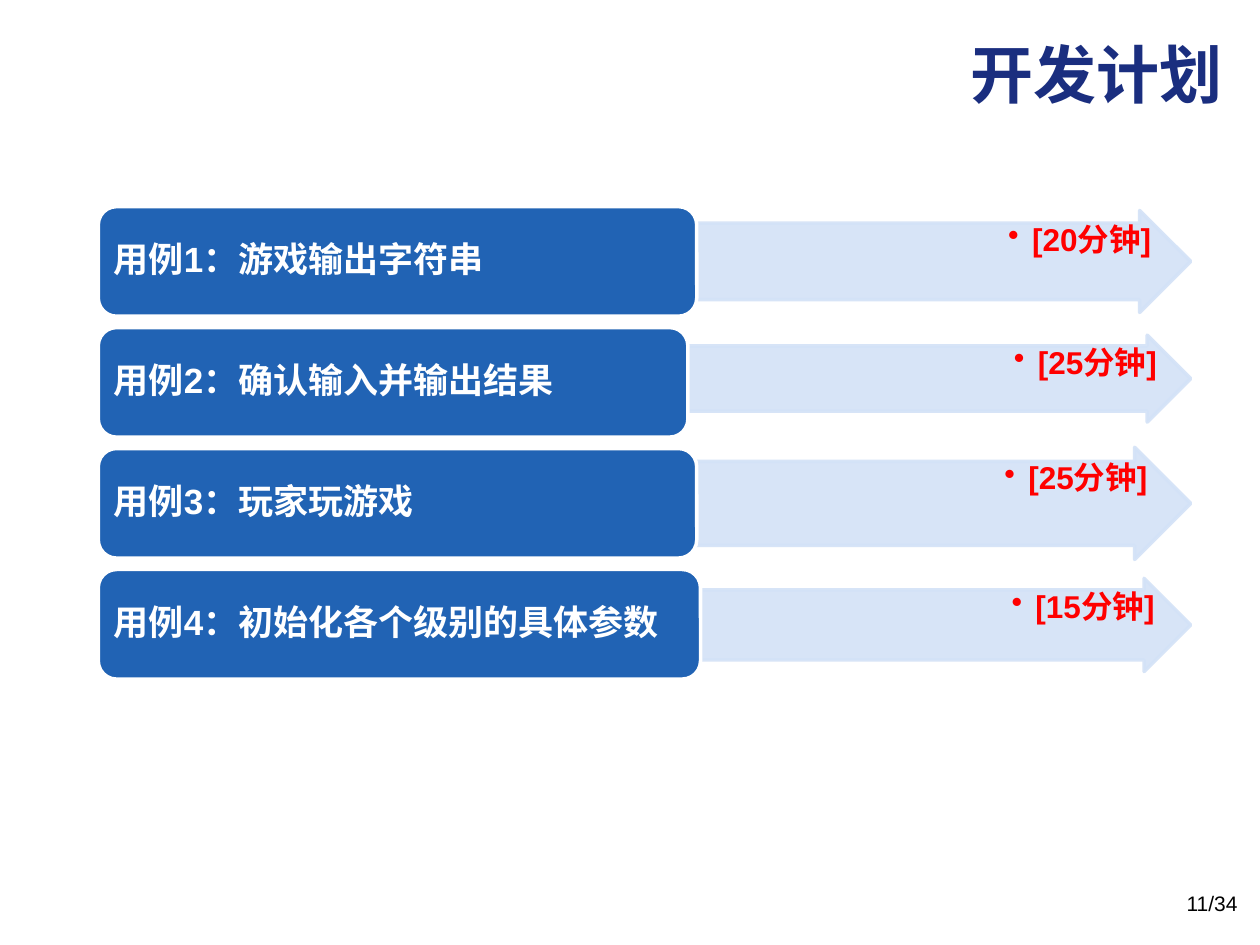
from lxml.etree import SubElement
from pptx import Presentation
from pptx.dml.color import RGBColor
from pptx.enum.shapes import MSO_SHAPE
from pptx.enum.text import MSO_ANCHOR, PP_ALIGN
from pptx.oxml.ns import qn
from pptx.util import Inches, Pt

NAVY = RGBColor(0x1A, 0x2E, 0x7F)
BLUE = RGBColor(0x21, 0x63, 0xB4)
PALE_BLUE = RGBColor(0xD3, 0xE2, 0xF7)
RED = RGBColor(0xFF, 0x00, 0x00)
WHITE = RGBColor(0xFF, 0xFF, 0xFF)
BLACK = RGBColor(0x00, 0x00, 0x00)

# Grid of the plan, in inches
LEFT, RIGHT = 0.78, 9.45
TOP, ROW_PITCH, ROW_HEIGHT = 1.64, 0.96, 0.87

# Use case, duration, right edge of the box, top and height of the arrow
USE_CASES = [
    ("用例1：游戏输出字符串", "[20分钟]", 5.53, 1.67, 0.81),
    ("用例2：确认输入并输出结果", "[25分钟]", 5.46, 2.66, 0.69),
    ("用例3：玩家玩游戏", "[25分钟]", 5.53, 3.55, 0.89),
    ("用例4：初始化各个级别的具体参数", "[15分钟]", 5.56, 4.59, 0.74),
]

presentation = Presentation()
presentation.slide_width, presentation.slide_height = Inches(10), Inches(7.5)
slide = presentation.slides.add_slide(presentation.slide_layouts[6])


def write(shape, text, size, color, bold=True, align=PP_ALIGN.RIGHT,
          anchor=MSO_ANCHOR.TOP, insets=(0.1, 0.05)):
    frame = shape.text_frame
    frame.word_wrap = True
    frame.vertical_anchor = anchor
    frame.margin_left = frame.margin_right = Inches(insets[0])
    frame.margin_top = frame.margin_bottom = Inches(insets[1])
    paragraph = frame.paragraphs[0]
    paragraph.text = text
    paragraph.alignment = align
    paragraph.font.name = "Arial"
    paragraph.font.size = Pt(size)
    paragraph.font.bold = bold
    paragraph.font.color.rgb = color
    return paragraph


def add_block(kind, left, top, width, height, fill, line):
    shape = slide.shapes.add_shape(
        kind, Inches(left), Inches(top), Inches(width), Inches(height))
    shape.shadow.inherit = False
    shape.fill.solid()
    shape.fill.fore_color.rgb = fill
    shape.line.color.rgb = line
    shape.line.width = Pt(2)
    return shape


# Title
title = slide.shapes.add_textbox(Inches(0.8), Inches(0.09), Inches(9), Inches(0.98))
write(title, "开发计划", 36, NAVY, anchor=MSO_ANCHOR.MIDDLE)

# One row per use case: arrow, duration, box
for row, (use_case, duration, edge, arrow_top, arrow_height) in enumerate(USE_CASES):
    arrow_width = RIGHT - edge
    arrow = add_block(MSO_SHAPE.RIGHT_ARROW, edge, arrow_top,
                      arrow_width, arrow_height, PALE_BLUE, PALE_BLUE)
    arrow.adjustments[0], arrow.adjustments[1] = 0.75, 0.5
    for color in arrow._element.spPr.iter(qn("a:srgbClr")):
        SubElement(color, qn("a:alpha"), val="90000")

    # The duration sits in the arrow's shaft and part of its head
    duration_box = slide.shapes.add_textbox(
        Inches(edge), Inches(arrow_top + arrow_height / 8),
        Inches(arrow_width - arrow_height * 3 / 8), Inches(arrow_height * 3 / 4))
    paragraph = write(duration_box, duration, 18, RED, insets=(0.01, 0.01))
    paragraph.line_spacing = 0.9
    properties = paragraph._p.get_or_add_pPr()
    properties.set("marL", str(Inches(0.19)))
    properties.set("indent", str(-Inches(0.19)))
    bullet = properties.makeelement(qn("a:buChar"), {"char": "•"})
    properties.insert_element_before(bullet, "a:tabLst", "a:defRPr", "a:extLst")

    box = add_block(MSO_SHAPE.ROUNDED_RECTANGLE, LEFT, TOP + row * ROW_PITCH,
                    edge - LEFT, ROW_HEIGHT, BLUE, WHITE)
    paragraph = write(box, use_case, 20, WHITE, align=PP_ALIGN.LEFT,
                      anchor=MSO_ANCHOR.MIDDLE, insets=(0.08, 0.04))
    paragraph.line_spacing = 0.9

# Page number
page_number = slide.shapes.add_textbox(
    Inches(7.59), Inches(7.02), Inches(2.33), Inches(0.4))
write(page_number, "11/34", 12, BLACK, bold=False)

presentation.save("out.pptx")
